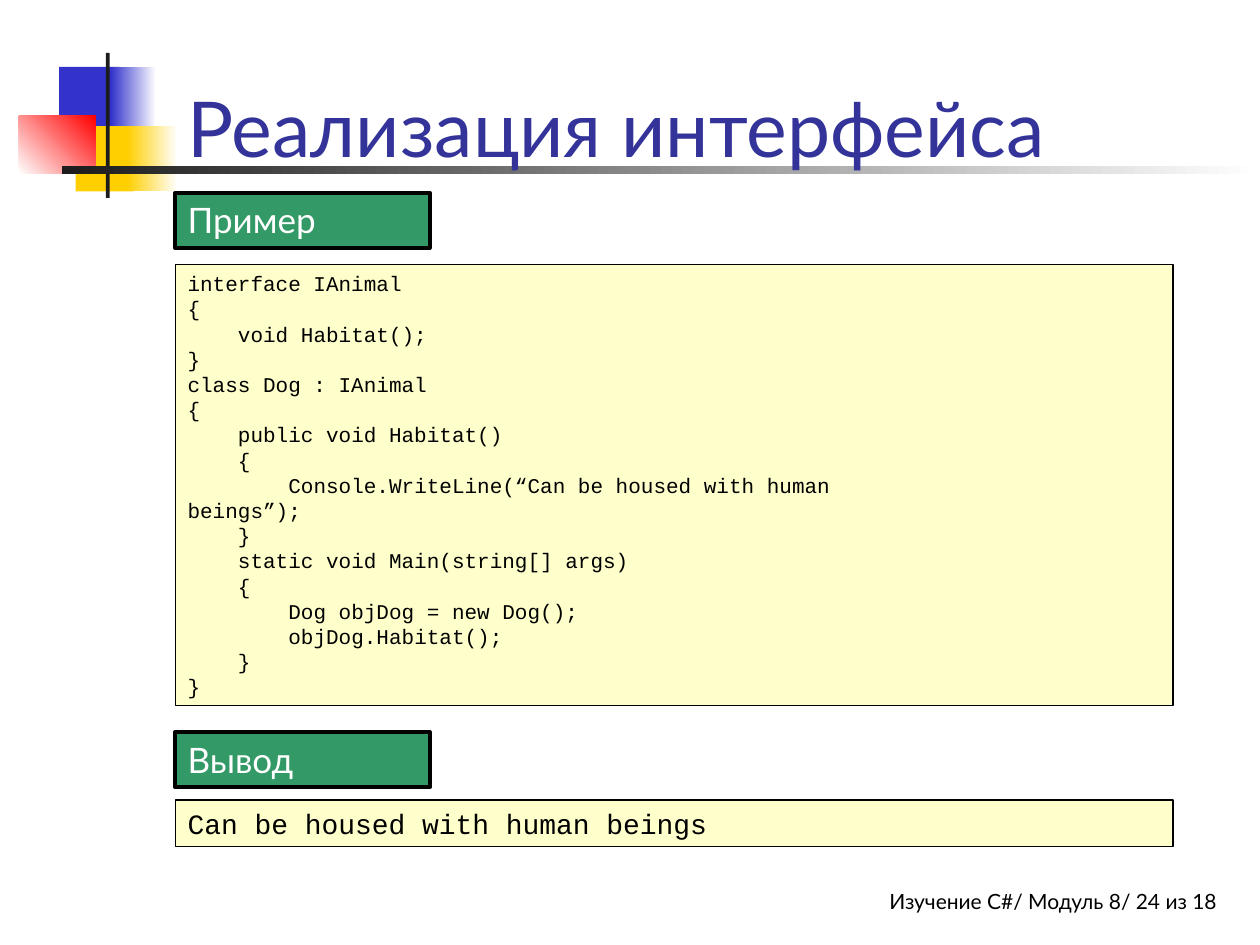
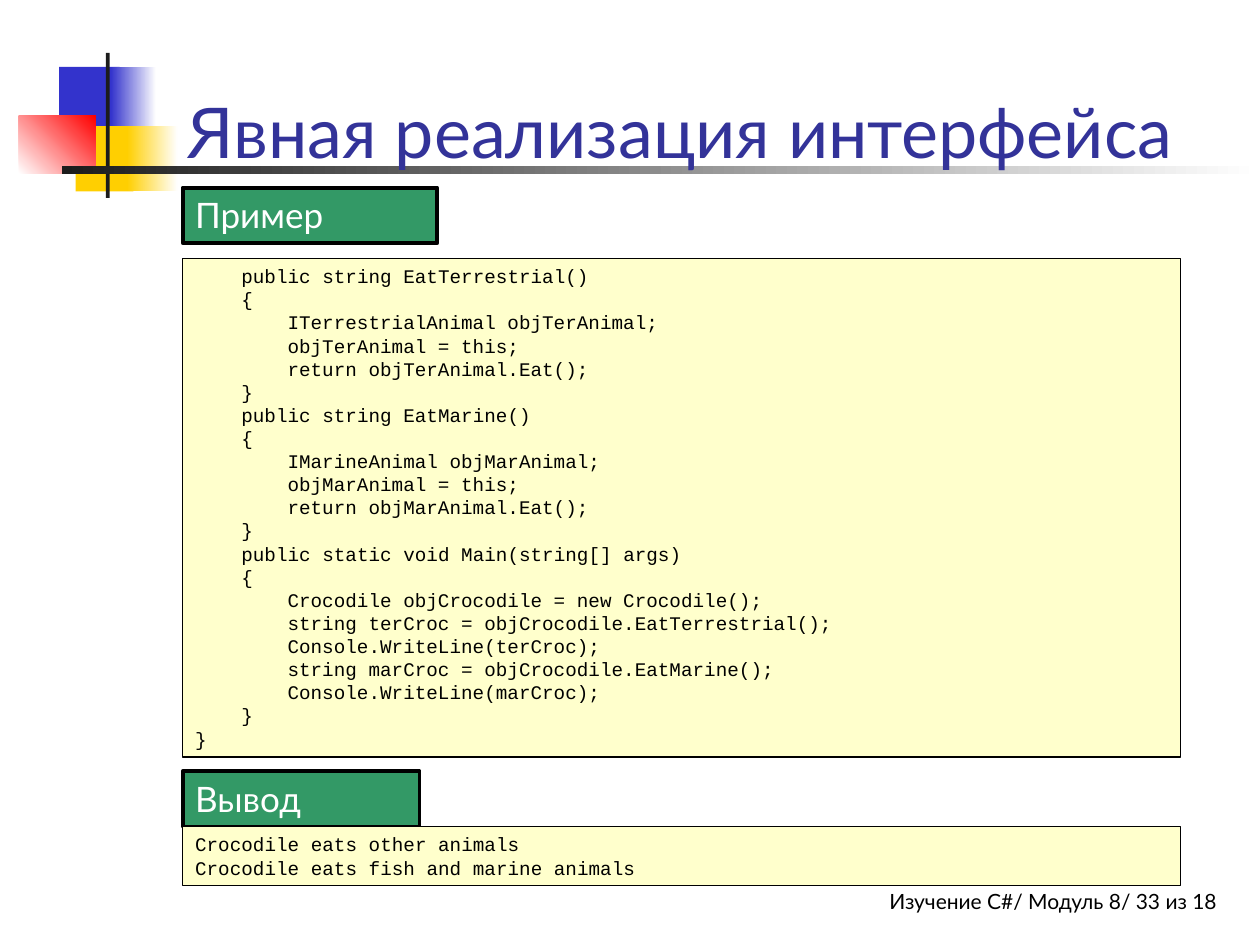
import pptx
import pptx.util
import pptx.dml.color
import pptx.enum.shapes
import pptx.enum.text

Inches = pptx.util.Inches
Pt = pptx.util.Pt
RGBColor = pptx.dml.color.RGBColor
ANCHOR = pptx.enum.text.MSO_ANCHOR
ALIGN = pptx.enum.text.PP_ALIGN
AUTO_SIZE = pptx.enum.text.MSO_AUTO_SIZE
RECTANGLE = pptx.enum.shapes.MSO_SHAPE.RECTANGLE

# Shared colours and fonts
WHITE = RGBColor(0xFF, 0xFF, 0xFF)
BLACK = RGBColor(0x00, 0x00, 0x00)
CHARCOAL = RGBColor(0x1C, 0x1C, 0x1C)
BLUE = RGBColor(0x33, 0x33, 0xCC)
YELLOW = RGBColor(0xFF, 0xCF, 0x01)
RED = RGBColor(0xFF, 0x00, 0x00)
TITLE_BLUE = RGBColor(0x33, 0x33, 0x99)
LABEL_GREEN = RGBColor(0x33, 0x99, 0x66)
CODE_CREAM = RGBColor(0xFF, 0xFF, 0xCC)
TEXT_FONT = "Lato"
CODE_FONT = "Courier New"

# Shared boxes: left, top, width, height in inches
TITLE_BOX = (1.39, 0.17, 8.52, 1.25)
FOOTER_BOX = (4.58, 7, 5.08, 0.33)
PANEL_WIDTH = 7.92
LABEL_HEIGHT = 0.44

# Ornament blocks: box, colours from start to end, gradient angle
ORNAMENT = [
    ((0.47, 0.53, 0.48, 0.52), [BLUE], 0),
    ((0.88, 0.53, 0.36, 0.52), [BLUE, WHITE], 0),
    ((0.6, 1, 0.46, 0.52), [YELLOW], 0),
    ((1.01, 1, 0.4, 0.52), [YELLOW, WHITE], 0),
    ((0.15, 0.92, 0.61, 0.46), [WHITE, RED], 45),
    ((0.84, 0.42, 0.03, 1.15), [CHARCOAL], 0),
    ((0.49, 1.32, 9.51, 0.06), [CHARCOAL, WHITE], 0),
]

DOG_CODE = """\
interface IAnimal
{
    void Habitat();
}
class Dog : IAnimal
{
    public void Habitat()
    {
        Console.WriteLine(“Can be housed with human \vbeings”);
    }
    static void Main(string[] args)
    {
        Dog objDog = new Dog();
        objDog.Habitat();
    }
}"""

CROCODILE_CODE = """\
    public string EatTerrestrial()
    {
        ITerrestrialAnimal objTerAnimal;
        objTerAnimal = this;
        return objTerAnimal.Eat();
    }
    public string EatMarine()
    {
        IMarineAnimal objMarAnimal;
        objMarAnimal = this;
        return objMarAnimal.Eat();
    }
    public static void Main(string[] args)
    {
        Crocodile objCrocodile = new Crocodile();
        string terCroc = objCrocodile.EatTerrestrial();
        Console.WriteLine(terCroc);
        string marCroc = objCrocodile.EatMarine();
        Console.WriteLine(marCroc);
    }
}"""

DOG_OUTPUT = "Can be housed with human beings"
CROCODILE_OUTPUT = """\
Crocodile eats other animals
Crocodile eats fish and marine animals"""


def set_attributes(target, values):
    for name, value in values.items():
        setattr(target, name, value)


def place(box):
    return [Inches(length) for length in box]


def write_text(shape, text, font, size, color, align=ALIGN.LEFT, **frame_format):
    """Fill a shape with one paragraph per line; leading spaces become indents."""
    frame = shape.text_frame
    set_attributes(frame, {
        "word_wrap": True, "vertical_anchor": ANCHOR.TOP,
        "auto_size": AUTO_SIZE.SHAPE_TO_FIT_TEXT,
        "margin_left": Inches(0.1), "margin_right": Inches(0.1),
        "margin_top": Inches(0.05), "margin_bottom": Inches(0.05),
        **frame_format})
    character_width = Pt(size * 0.6)
    for index, line in enumerate(text.split("\n")):
        paragraph = frame.add_paragraph() if index else frame.paragraphs[0]
        code = line.lstrip(" ")
        paragraph.text = code
        paragraph.alignment = align
        indent = (len(line) - len(code)) * character_width
        if indent:
            properties = paragraph._p.get_or_add_pPr()
            properties.set("marL", "0")
            properties.set("indent", str(indent))
        for run in paragraph.runs:
            set_attributes(run.font, {"name": font, "size": Pt(size), "bold": False})
            run.font.color.rgb = color


def add_rectangle(shapes, box, colors, angle=0, line_width=None):
    shape = shapes.add_shape(RECTANGLE, *place(box))
    shape.shadow.inherit = False
    if len(colors) == 1:
        shape.fill.solid()
        shape.fill.fore_color.rgb = colors[0]
    else:
        shape.fill.gradient()
        shape.fill.gradient_angle = angle
        for stop, color, position in zip(shape.fill.gradient_stops, colors, (0, 1)):
            stop.color.rgb = color
            stop.position = position
    if line_width:
        shape.line.color.rgb = BLACK
        shape.line.width = Pt(line_width)
    else:
        shape.line.fill.background()
    return shape


def add_ornament(slide):
    group = slide.shapes.add_group_shape()
    for box, colors, angle in ORNAMENT:
        add_rectangle(group.shapes, box, colors, angle)


def add_footer(slide, number):
    footer = slide.shapes.add_textbox(*place(FOOTER_BOX))
    write_text(footer, f"Изучение C#/ Модуль 8/ {number} из 18", TEXT_FONT, 12,
               BLACK, ALIGN.RIGHT, margin_right=0)


def add_title(slide, text, size):
    title = slide.shapes.title
    left, top, width, height = place(TITLE_BOX)
    set_attributes(title, {"left": left, "top": top, "width": width, "height": height})
    write_text(title, text, TEXT_FONT, size, TITLE_BLUE,
               vertical_anchor=ANCHOR.BOTTOM, auto_size=AUTO_SIZE.NONE)
    # Bring the title in front of the ornament
    slide.shapes.element.append(title.element)


def add_section(slide, left, section):
    """Green label with a code panel under it."""
    label_box = (left, section["label_top"], section["label_width"], LABEL_HEIGHT)
    label = add_rectangle(slide.shapes, label_box, [LABEL_GREEN], line_width=2.25)
    write_text(label, section["label"], TEXT_FONT, 20, WHITE)
    panel_box = (left, section["panel_top"], PANEL_WIDTH, section["panel_height"])
    panel = add_rectangle(slide.shapes, panel_box, [CODE_CREAM], line_width=0.75)
    write_text(panel, section["text"], CODE_FONT, section["size"], BLACK)


def add_code_slide(presentation, title, title_size, number, left, sections):
    slide = presentation.slides.add_slide(presentation.slide_layouts[5])
    add_footer(slide, number)
    add_ornament(slide)
    add_title(slide, title, title_size)
    for section in sections:
        add_section(slide, left, section)


def main():
    presentation = pptx.Presentation()
    presentation.slide_width = Inches(10)
    presentation.slide_height = Inches(7.5)

    # Implementing an interface
    add_code_slide(presentation, "Реализация интерфейса", 44, 24, 1.39, [
        {"label": "Пример", "label_top": 1.53, "label_width": 2.02,
         "panel_top": 2.1, "panel_height": 3.5, "text": DOG_CODE, "size": 12},
        {"label": "Вывод", "label_top": 5.81, "label_width": 2.02,
         "panel_top": 6.35, "panel_height": 0.37, "text": DOG_OUTPUT, "size": 16},
    ])

    # Implementing an interface explicitly
    add_code_slide(presentation, "Явная реализация интерфейса", 40, 33, 1.45, [
        {"label": "Пример", "label_top": 1.49, "label_width": 2.02,
         "panel_top": 2.05, "panel_height": 3.96, "text": CROCODILE_CODE, "size": 11},
        {"label": "Вывод", "label_top": 6.12, "label_width": 1.88,
         "panel_top": 6.56, "panel_height": 0.47, "text": CROCODILE_OUTPUT, "size": 11},
    ])

    presentation.save("out.pptx")


if __name__ == "__main__":
    main()
